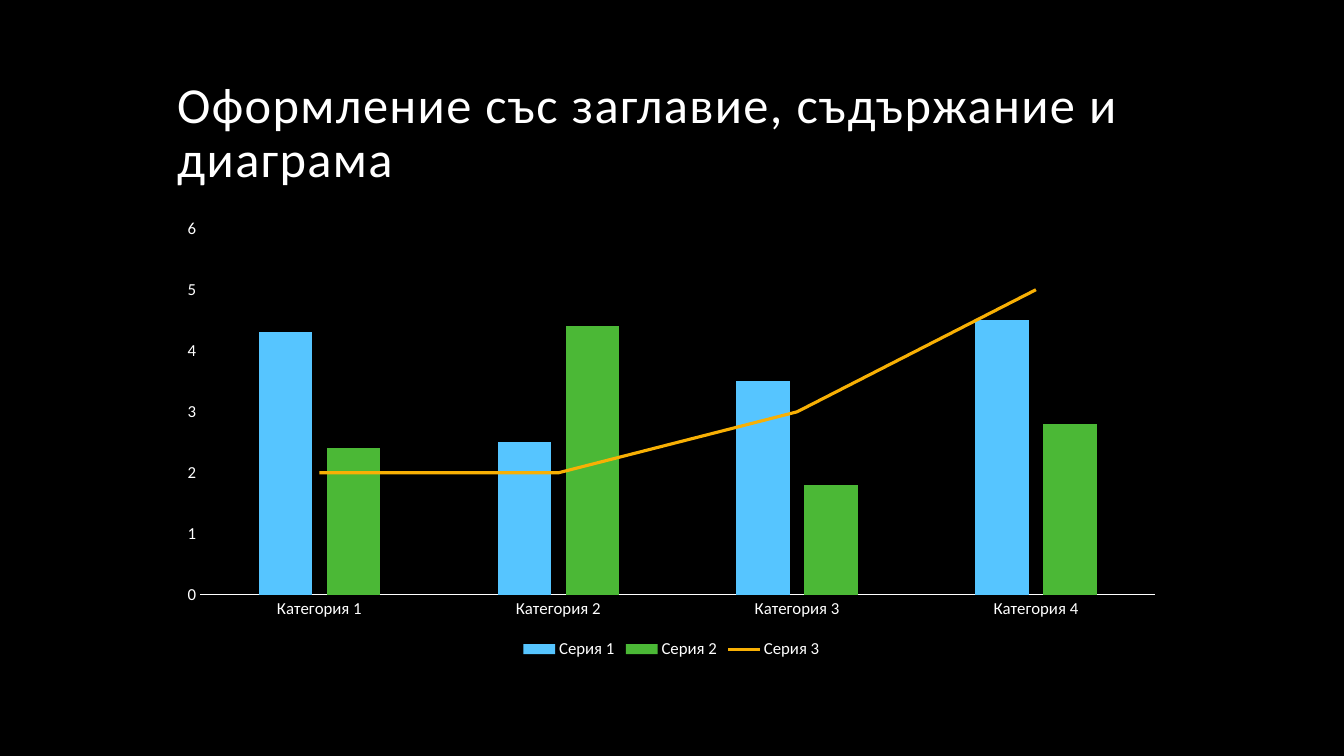
from copy import deepcopy
from pptx import Presentation
from pptx.chart.data import CategoryChartData
from pptx.dml.color import RGBColor
from pptx.enum.chart import XL_CHART_TYPE, XL_LEGEND_POSITION, XL_MARKER_STYLE, XL_TICK_MARK
from pptx.enum.text import MSO_ANCHOR
from pptx.oxml import parse_xml
from pptx.oxml.ns import nsdecls, qn
from pptx.util import Inches, Pt

TITLE = "Оформление със заглавие, съдържание и диаграма"
GROUPS = ["Категория 1", "Категория 2", "Категория 3", "Категория 4"]
SERIES = [
    ("Серия 1", (4.3, 2.5, 3.5, 4.5)),
    ("Серия 2", (2.4, 4.4, 1.8, 2.8)),
    ("Серия 3", (2, 2, 3, 5)),
]
THEME = {
    "font": "Calibri",
    "back": RGBColor.from_string("000000"),
    "text": RGBColor.from_string("FFFFFF"),
    "bars": [RGBColor.from_string(c) for c in ("56C5FF", "4BB836")],
    "trend": RGBColor.from_string("F8B004"),
    "title": Pt(36),
    "label": Pt(12),
}
LEFT, WIDE = Inches(1.66), Inches(10)


def style(font, size):
    font.name = THEME["font"]
    font.size = size
    font.color.rgb = THEME["text"]


def add_title(slide):
    frame = slide.shapes.add_textbox(LEFT, Inches(0.42), WIDE, Inches(1.5)).text_frame
    frame.word_wrap = True
    frame.vertical_anchor = MSO_ANCHOR.BOTTOM
    para = frame.paragraphs[0]
    para.line_spacing = 0.9
    run = para.add_run()
    run.text = TITLE
    style(para.font, THEME["title"])
    run.font._element.set("spc", "100")


def split_line(chart):
    bars = chart.plots[0]._element
    line = parse_xml(
        f'<c:lineChart {nsdecls("c")}><c:grouping val="standard"/>'
        '<c:varyColors val="0"/><c:marker val="1"/></c:lineChart>'
    )
    last = bars.findall(qn("c:ser"))[-1]
    for flag in last.findall(qn("c:invertIfNegative")):
        last.remove(flag)
    line.insert(2, last)
    for axis in bars.findall(qn("c:axId")):
        line.append(deepcopy(axis))
    bars.addnext(line)


def add_chart(slide):
    data = CategoryChartData()
    data.categories = GROUPS
    for name, values in SERIES:
        data.add_series(name, values)
    chart = slide.shapes.add_chart(
        XL_CHART_TYPE.COLUMN_CLUSTERED, LEFT, Inches(2.08), WIDE, Inches(4.5), data
    ).chart
    style(chart.font, THEME["label"])
    chart.has_title = False
    chart.has_legend = True
    chart.legend.position = XL_LEGEND_POSITION.BOTTOM
    chart.legend.include_in_layout = False
    style(chart.legend.font, THEME["label"])
    for axis in (chart.category_axis, chart.value_axis):
        axis.has_major_gridlines = False
        axis.major_tick_mark = axis.minor_tick_mark = XL_TICK_MARK.NONE
        style(axis.tick_labels.font, THEME["label"])
    rule = chart.category_axis.format.line
    rule.color.rgb = THEME["text"]
    rule.width = Pt(0.75)
    scale = chart.value_axis
    scale.minimum_scale, scale.maximum_scale, scale.major_unit = 0, 6, 1
    scale.format.line.fill.background()

    split_line(chart)
    bars, lines = chart.plots
    bars.gap_width, bars.overlap = 219, -27
    bars.vary_by_categories = False
    for series, color in zip(bars.series, THEME["bars"]):
        series.format.fill.solid()
        series.format.fill.fore_color.rgb = color
    trend = lines.series[0]
    trend.smooth = False
    trend.marker.style = XL_MARKER_STYLE.NONE
    trend.format.line.color.rgb = THEME["trend"]
    trend.format.line.width = Pt(2.25)


def main():
    deck = Presentation()
    deck.slide_width, deck.slide_height = Inches(13.33), Inches(7.5)
    slide = deck.slides.add_slide(deck.slide_layouts[6])
    slide.background.fill.solid()
    slide.background.fill.fore_color.rgb = THEME["back"]
    add_title(slide)
    add_chart(slide)
    deck.save("out.pptx")


if __name__ == "__main__":
    main()
